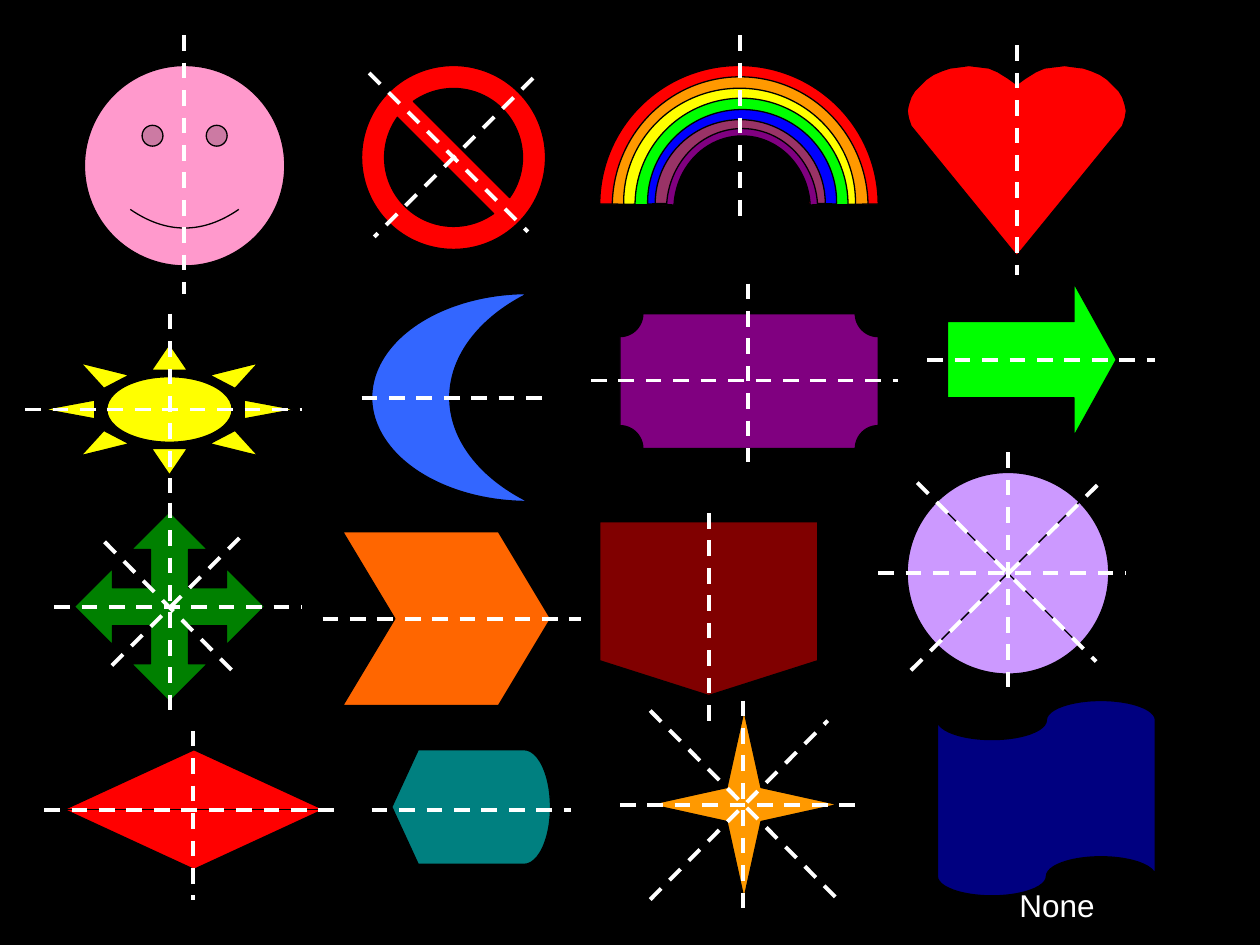
"""Build a slide of sixteen shapes with their lines of symmetry."""
import pptx
import pptx.util
import pptx.dml.color
import pptx.enum.dml
import pptx.enum.shapes
import pptx.enum.text
import pptx.oxml.ns
import lxml.etree

Inches, Pt = pptx.util.Inches, pptx.util.Pt
RGB = pptx.dml.color.RGBColor
KIND = pptx.enum.shapes.MSO_SHAPE

BLACK = RGB(0, 0, 0)
WHITE = RGB(255, 255, 255)
PINK = RGB(0xFF, 0x99, 0xCC)
RED = RGB(255, 0, 0)
YELLOW = RGB(255, 255, 0)
SKY = RGB(0x33, 0x66, 0xFF)
PURPLE = RGB(0x80, 0, 0x80)
LIME = RGB(0, 255, 0)
GREEN = RGB(0, 0x80, 0)
ORANGE = RGB(0xFF, 0x66, 0)
MAROON = RGB(0x80, 0, 0)
LILAC = RGB(0xCC, 0x99, 0xFF)
TEAL = RGB(0, 0x80, 0x80)
AMBER = RGB(0xFF, 0x99, 0)
NAVY = RGB(0, 0, 0x80)
BLUE = RGB(0, 0, 255)
PLUM = RGB(0x99, 0x33, 0x66)

SHAPES = [
    (KIND.SMILEY_FACE, PINK, (0.67, 0.52, 1.59, 1.59), [0.09]),
    (KIND.NO_SYMBOL, RED, (2.87, 0.52, 1.46, 1.46), [0.125]),
    (KIND.SUN, YELLOW, (0.35, 2.73, 1.99, 1.04), [0.25]),
    (KIND.MOON, SKY, (2.95, 2.33, 1.24, 1.65), [0.5]),
    (KIND.PLAQUE, PURPLE, (4.92, 2.49, 2.05, 1.07), [0.17]),
    (KIND.RIGHT_ARROW, LIME, (7.52, 2.25, 1.34, 1.21), [0.5, 0.277]),
    (KIND.QUAD_ARROW, GREEN, (0.59, 4.06, 1.51, 1.51), [0.2, 0.2, 0.2]),
    (KIND.CHEVRON, ORANGE, (2.72, 4.22, 1.65, 1.38), [0.3]),
    (KIND.FLOWCHART_OFFPAGE_CONNECTOR, MAROON, (4.76, 4.14, 1.73, 1.38), []),
    (KIND.FLOWCHART_SUMMING_JUNCTION, LILAC, (7.2, 3.75, 1.6, 1.6), []),
    (KIND.FLOWCHART_SORT, RED, (0.51, 5.95, 2.06, 0.95), []),
    (KIND.FLOWCHART_DISPLAY, TEAL, (3.11, 5.95, 1.26, 0.91), []),
    (KIND.STAR_4_POINT, AMBER, (5.16, 5.64, 1.49, 1.49), [0.128]),
    (KIND.FLOWCHART_PUNCHED_TAPE, NAVY, (7.44, 5.56, 1.73, 1.55), []),
]

RAINBOW = [
    (RED, (4.76, 0.52, 2.21, 2.2), 0, 0.25),
    (AMBER, (4.86, 0.61, 2.03, 2.06), 0.68, 0.217),
    (YELLOW, (4.95, 0.7, 1.84, 1.81), -0.63, 0.167),
    (LIME, (5.04, 0.78, 1.69, 1.69), 0, 0.153),
    (BLUE, (5.14, 0.87, 1.5, 1.47), -0.66, 0.112),
    (PLUM, (5.2, 0.95, 1.35, 1.33), 0, 0.088),
    (PURPLE, (5.29, 1.02, 1.2, 1.28), 2.08, 0.049),
]

AXIS = 807
HEART = [
    (807, 203), (723, 100), (721, 94), (720, 88), (721, 83),
    (723, 77), (726, 72), (731, 67), (735, 63), (741, 59),
    (748, 56), (754, 54), (762, 53), (769, 52), (777, 53),
    (785, 54), (792, 57), (800, 62), (807, 67),
]

UPRIGHT = [
    (1.46, 0.28, 2.33), (5.87, 0.28, 1.78), (8.07, 0.36, 2.18),
    (1.35, 2.49, 3.91), (5.94, 2.25, 3.67), (1.35, 3.99, 5.64),
    (5.63, 5.72, 3.99), (8, 3.59, 5.48), (1.53, 5.8, 7.14),
    (5.9, 5.56, 7.29),
]
LEVEL = [
    (3.25, 0.2, 2.4), (3.16, 2.87, 4.37), (3.02, 4.69, 7.13),
    (2.86, 7.36, 9.17), (4.82, 0.43, 2.4), (4.91, 2.56, 4.61),
    (4.55, 6.97, 8.94), (6.43, 0.35, 2.72), (6.43, 2.95, 4.53),
    (6.39, 4.92, 6.81),
]
SLANTED = [
    (2.93, 0.58, 4.19, 1.84), (4.23, 0.62, 2.97, 1.88),
    (0.83, 4.3, 1.85, 5.33), (1.9, 4.27, 0.87, 5.3),
    (7.23, 5.32, 8.73, 3.83), (7.28, 3.83, 8.7, 5.25),
    (5.16, 7.14, 6.57, 5.72), (5.16, 5.64, 6.65, 7.14),
]


def paint(shape, color):
    shape.shadow.inherit = False
    shape.fill.solid()
    shape.fill.fore_color.rgb = color
    shape.line.color.rgb = BLACK
    shape.line.width = Pt(0.75)


def add_form(slide, kind, color, box, values):
    shape = slide.shapes.add_shape(kind, *map(Inches, box))
    for i, value in enumerate(values):
        shape.adjustments[i] = value
    paint(shape, color)


def add_heart(slide):
    right = [(2 * AXIS - x, y) for x, y in HEART[-2:0:-1]]
    pen = slide.shapes.build_freeform(*HEART[0], scale=Inches(0.01))
    pen.add_line_segments(HEART[1:] + right, close=True)
    paint(pen.convert_to_shape(), RED)


def add_dash(slide, ends):
    line = slide.shapes.add_connector(
        pptx.enum.shapes.MSO_CONNECTOR.STRAIGHT, *map(Inches, ends))
    line.line.color.rgb = WHITE
    line.line.width = Pt(2.25)
    line.line.dash_style = pptx.enum.dml.MSO_LINE.DASH
    lxml.etree.SubElement(line._element.spPr, pptx.oxml.ns.qn("a:effectLst"))


def add_label(slide):
    box = slide.shapes.add_textbox(*map(Inches, (7.99, 6.98, 0.8, 0.4)))
    frame = box.text_frame
    frame.word_wrap = False
    frame.auto_size = pptx.enum.text.MSO_AUTO_SIZE.SHAPE_TO_FIT_TEXT
    para = frame.paragraphs[0]
    para.text = "None"
    para.alignment = pptx.enum.text.PP_ALIGN.CENTER
    para.font.name = "Arial"
    para.font.size = Pt(18)
    para.font.color.rgb = WHITE


def main():
    deck = pptx.Presentation()
    deck.slide_width, deck.slide_height = Inches(10), Inches(7.5)
    slide = deck.slides.add_slide(deck.slide_layouts[6])
    slide.background.fill.solid()
    slide.background.fill.fore_color.rgb = BLACK
    for item in SHAPES:
        add_form(slide, *item)
    add_heart(slide)
    for color, box, tilt, width in RAINBOW:
        arc = [108 + tilt, (216 - tilt) % 216, width]
        add_form(slide, KIND.BLOCK_ARC, color, box, arc)
    lines = [(x, top, x, end) for x, top, end in UPRIGHT]
    lines += [(left, y, end, y) for y, left, end in LEVEL]
    for ends in lines + SLANTED:
        add_dash(slide, ends)
    add_label(slide)
    deck.save("out.pptx")


if __name__ == "__main__":
    main()
